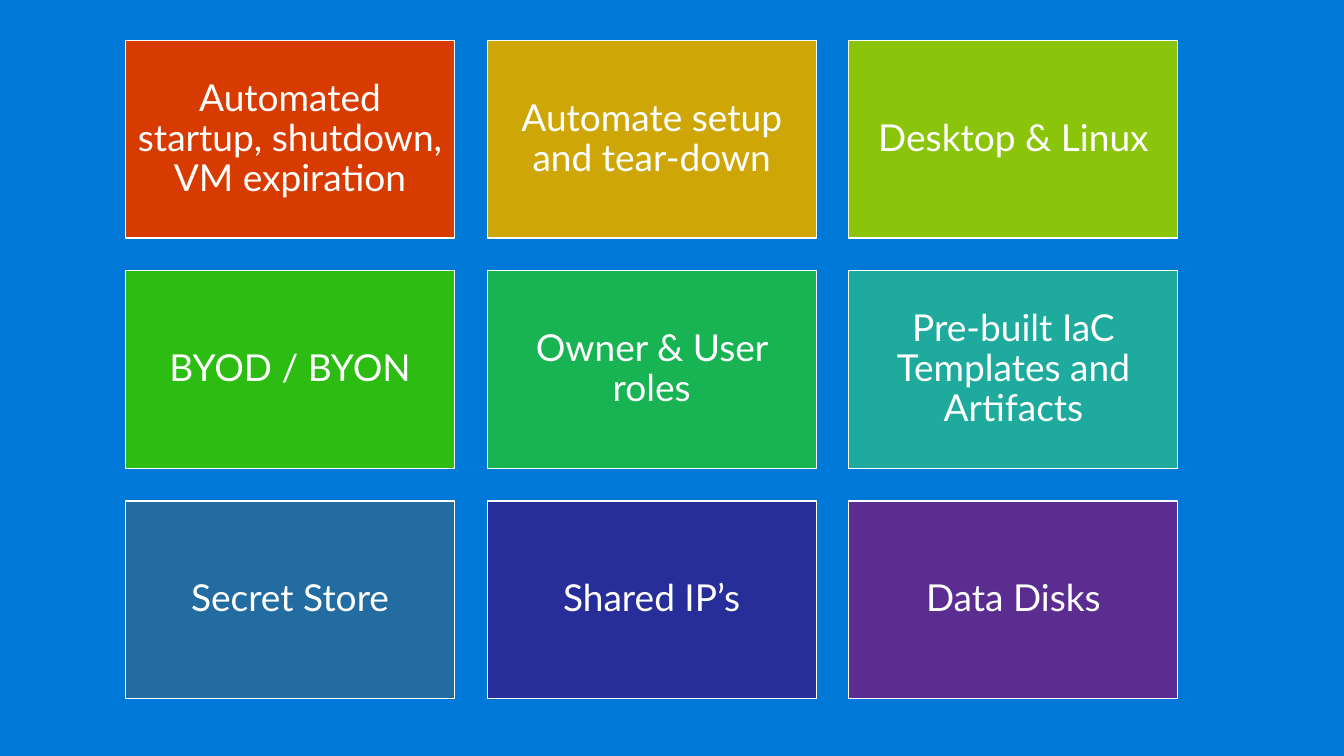
import pptx
import pptx.dml.color
import pptx.enum.shapes
import pptx.enum.text
import pptx.util
from dataclasses import dataclass

Inches = pptx.util.Inches
Pt = pptx.util.Pt
rgb = pptx.dml.color.RGBColor.from_string


@dataclass(frozen=True)
class Theme:
    background: str = "0078D7"
    white: str = "FFFFFF"
    font: str = "Lato"
    tile_size: float = 27
    outline: float = 0.85
    inset: float = 0.11


class Deck:
    """Holds the theme and the current slide."""

    def __init__(self, prs, theme):
        self.theme = theme
        self.s = prs.slides.add_slide(prs.slide_layouts[6])
        fill = self.s.background.fill
        fill.solid()
        fill.fore_color.rgb = rgb(theme.background)

    def tile(self, text, color, left, top, width, height):
        t = self.theme
        sp = self.s.shapes.add_shape(
            pptx.enum.shapes.MSO_SHAPE.RECTANGLE,
            Inches(left), Inches(top), Inches(width), Inches(height))
        sp.shadow.inherit = False
        sp.fill.solid()
        sp.fill.fore_color.rgb = rgb(color)
        sp.line.color.rgb = rgb(t.white)
        sp.line.width = Pt(t.outline)

        tf = sp.text_frame
        tf.word_wrap = True
        tf.vertical_anchor = pptx.enum.text.MSO_ANCHOR.MIDDLE
        tf.margin_left = tf.margin_right = Inches(t.inset)
        tf.margin_top = tf.margin_bottom = Inches(t.inset)
        tf.text = text
        p = tf.paragraphs[0]
        p.alignment = pptx.enum.text.PP_ALIGN.CENTER
        p.line_spacing = 0.9
        r = p.runs[0]
        r.font.name = t.font
        r.font.size = Pt(t.tile_size)
        r.font.color.rgb = rgb(t.white)
        return sp


# Features in reading order, each with its tile colour
FEATURES = [
    ("Automated startup, shutdown, VM expiration", "D83B00"),
    ("Automate setup and tear-down", "CEA606"),
    ("Desktop & Linux", "8AC50C"),
    ("BYOD / BYON", "2CBC12"),
    ("Owner & User roles", "18B352"),
    ("Pre-built IaC Templates and Artifacts", "1EAA9C"),
    ("Secret Store", "236CA2"),
    ("Shared IP’s", "282E99"),
    ("Data Disks", "5C2D91"),
]

# Grid of tiles
COLUMNS = 3
LEFT, TOP = 1.27, 0.41
WIDTH, HEIGHT, GAP = 3.33, 2, 0.33


def main():
    prs = pptx.Presentation()
    prs.slide_width, prs.slide_height = Inches(13.6), Inches(7.65)
    deck = Deck(prs, Theme())

    for i, (text, color) in enumerate(FEATURES):
        row, col = divmod(i, COLUMNS)
        deck.tile(text, color, LEFT + col * (WIDTH + GAP),
                  TOP + row * (HEIGHT + GAP), WIDTH, HEIGHT)

    prs.save("out.pptx")


if __name__ == "__main__":
    main()
